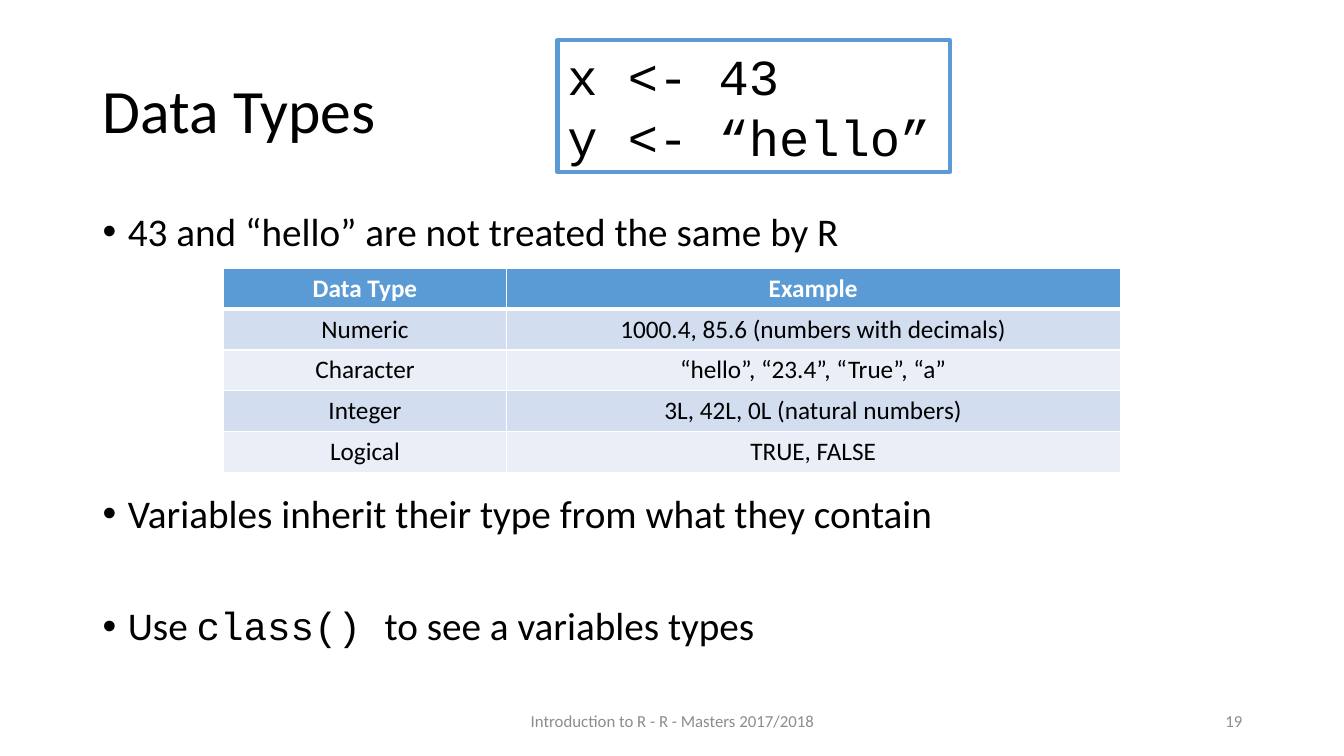
from lxml import etree
from pptx import Presentation, util as u
from pptx.dml.color import RGBColor
from pptx.enum import shapes, text
from pptx.oxml import ns

COLOURS = {
    "ink": "000000", "paper": "FFFFFF", "accent": "5B9BD5", "muted": "8C8C8C",
    "band_dark": "D2DEEF", "band_light": "EAEFF7",
}
BODY_FONT, CODE_FONT = "Calibri", "Courier New"
ALIGN, ANCHOR = text.PP_ALIGN, text.MSO_ANCHOR

DATA_TYPES = [
    ("Data Type", "Example"),
    ("Numeric", "1000.4, 85.6 (numbers with decimals)"),
    ("Character", "“hello”, “23.4”, “True”, “a”"),
    ("Integer", "3L, 42L, 0L (natural numbers)"),
    ("Logical", "TRUE, FALSE"),
]
# Space before in points, then the runs; the first gap leaves room for the table.
BULLETS = [
    (0, [("43 and “hello” are not treated the same by R", BODY_FONT)]),
    (171, [("Variables inherit their type from what they contain", BODY_FONT)]),
    (50, [("Use ", BODY_FONT), ("class() ", CODE_FONT),
          ("to see a variables types", BODY_FONT)]),
]


def colour(name):
    return RGBColor.from_string(COLOURS[name])


def add_element(parent, tag, **attributes):
    return etree.SubElement(parent, ns.qn(tag), attributes)


class SlideBuilder:
    def __init__(self, presentation):
        self.slide = presentation.slides.add_slide(presentation.slide_layouts[5])

    def add_run(self, paragraph, words, size, font=BODY_FONT, ink="ink", bold=False):
        run = paragraph.add_run()
        run.text = words
        run.font.name = font
        run.font.size = u.Pt(size)
        run.font.bold = bold
        run.font.color.rgb = colour(ink)

    def place(self, shape, box):
        shape.left, shape.top, shape.width, shape.height = map(u.Inches, box)

    def add_title(self, words, box):
        title = self.slide.shapes.title
        self.place(title, box)
        frame = title.text_frame
        frame.vertical_anchor = ANCHOR.MIDDLE
        frame.auto_size = text.MSO_AUTO_SIZE.NONE
        paragraph = frame.paragraphs[0]
        paragraph.alignment = ALIGN.LEFT
        paragraph.line_spacing = 0.9
        self.add_run(paragraph, words, 44)

    def add_text_box(self, box, anchor=ANCHOR.TOP):
        frame = self.slide.shapes.add_textbox(*map(u.Inches, box)).text_frame
        frame.word_wrap = True
        frame.vertical_anchor = anchor
        return frame

    def add_bullets(self, bullets, box):
        frame = self.add_text_box(box)
        for index, (gap, runs) in enumerate(bullets):
            paragraph = frame.add_paragraph() if index else frame.paragraphs[0]
            paragraph.line_spacing = 0.9
            paragraph.space_before = u.Pt(gap)
            properties = paragraph._p.get_or_add_pPr()
            properties.set("marL", str(u.Inches(0.25)))
            properties.set("indent", str(u.Inches(-0.25)))
            add_element(properties, "a:buFont", typeface="Arial")
            add_element(properties, "a:buChar", char="•")
            for words, font in runs:
                self.add_run(paragraph, words, 28, font)

    def add_footer(self, words, box, alignment):
        paragraph = self.add_text_box(box, ANCHOR.MIDDLE).paragraphs[0]
        paragraph.alignment = alignment
        self.add_run(paragraph, words, 12, ink="muted")

    def add_code(self, lines, box):
        shape = self.slide.shapes.add_shape(
            shapes.MSO_SHAPE.RECTANGLE, *map(u.Inches, box))
        shape.shadow.inherit = False
        shape.fill.solid()
        shape.fill.fore_color.rgb = colour("paper")
        shape.line.color.rgb = colour("accent")
        shape.line.width = u.Pt(3)
        frame = shape.text_frame
        frame.word_wrap = False
        frame.vertical_anchor = ANCHOR.TOP
        for index, line in enumerate(lines):
            paragraph = frame.add_paragraph() if index else frame.paragraphs[0]
            paragraph.alignment = ALIGN.LEFT
            self.add_run(paragraph, line, 36, CODE_FONT)

    def add_borders(self, cell, bottom):
        properties = cell._tc.get_or_add_tcPr()
        for side, width in (("L", 1), ("R", 1), ("T", 1), ("B", bottom)):
            line = add_element(properties, f"a:ln{side}", w=str(u.Pt(width)))
            fill = add_element(line, "a:solidFill")
            add_element(fill, "a:srgbClr", val=COLOURS["paper"])

    def add_table(self, rows, box, column_widths):
        table = self.slide.shapes.add_table(
            len(rows), len(column_widths), *map(u.Inches, box)).table
        for column, width in zip(table.columns, column_widths):
            column.width = u.Inches(width)
        for r, row in enumerate(rows):
            header = r == 0
            band = "accent" if header else "band_dark" if r % 2 else "band_light"
            for c, words in enumerate(row):
                cell = table.cell(r, c)
                self.add_borders(cell, bottom=3 if header else 1)
                cell.fill.solid()
                cell.fill.fore_color.rgb = colour(band)
                paragraph = cell.text_frame.paragraphs[0]
                paragraph.alignment = ALIGN.CENTER
                self.add_run(paragraph, words, 18, bold=header,
                             ink="paper" if header else "ink")


def main():
    presentation = Presentation()
    presentation.slide_width = u.Inches(13.33)
    presentation.slide_height = u.Inches(7.5)
    builder = SlideBuilder(presentation)
    builder.add_title("Data Types", (0.92, 0.4, 11.5, 1.45))
    builder.add_bullets(BULLETS, (0.92, 2.06, 11.5, 4.69))
    builder.add_footer("Introduction to R - R - Masters 2017/2018",
                       (4.42, 6.95, 4.5, 0.4), ALIGN.CENTER)
    builder.add_footer("19", (9.42, 6.95, 3, 0.4), ALIGN.RIGHT)
    builder.add_code(["x <- 43", "y <- “hello”"], (5.53, 0.4, 3.89, 1.31))
    builder.add_table(DATA_TYPES, (2.22, 2.66, 8.89, 2.03), (2.8, 6.09))
    presentation.save("out.pptx")


if __name__ == "__main__":
    main()
